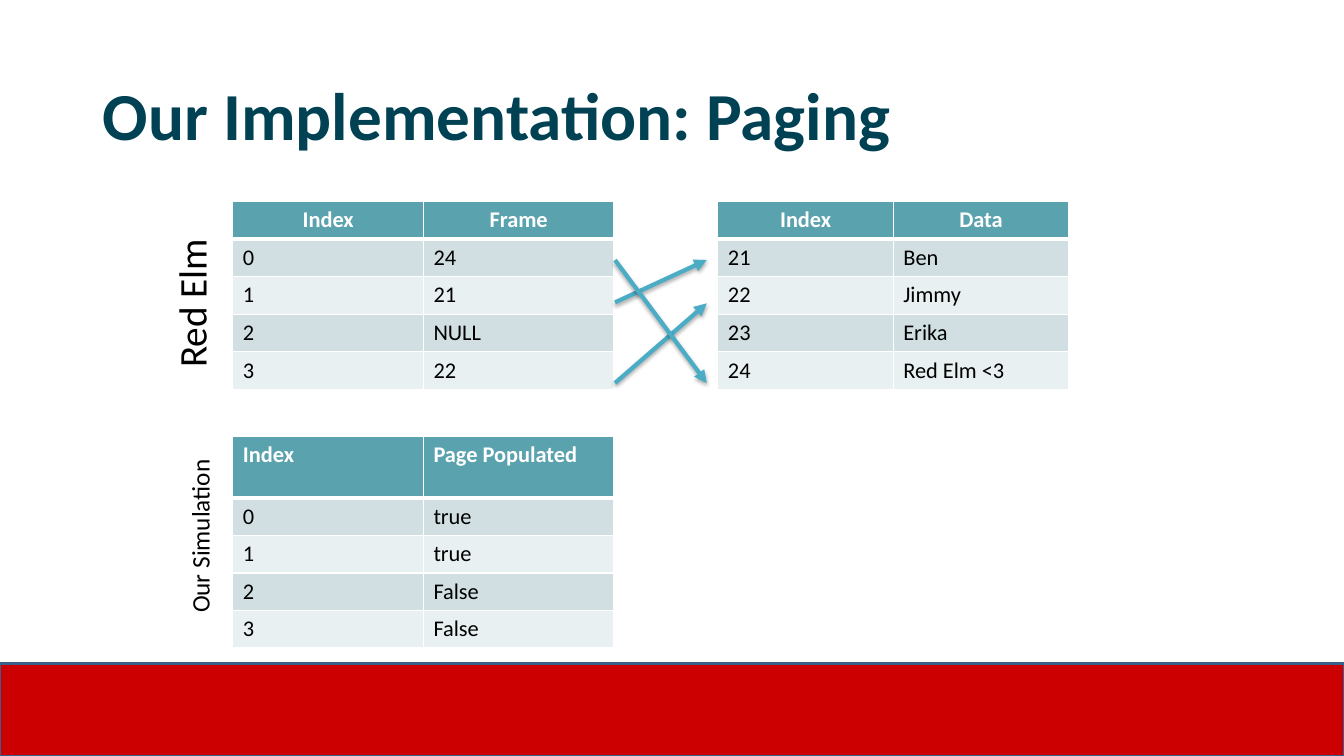
from dataclasses import dataclass

from lxml.etree import SubElement
from pptx import Presentation
from pptx.dml.color import RGBColor
from pptx.enum.shapes import MSO_CONNECTOR, MSO_SHAPE
from pptx.enum.text import MSO_ANCHOR, MSO_AUTO_SIZE, PP_ALIGN
from pptx.oxml import parse_xml
from pptx.oxml.ns import nsdecls, qn
from pptx.util import Inches, Pt

FONT = "Calibri"
WHITE = "FFFFFF"
BLACK = "000000"
HEADER_FILL = "5AA2AE"
BAND_FILLS = ["D1DFE3", "E9F0F1"]
ARROW_COLOUR = "4BACC6"
ROW_HEIGHT = 0.37


@dataclass
class PageTable:
    left: float
    top: float
    column_width: float
    header_height: float
    header_align: PP_ALIGN
    rows: list[tuple[str, str]]


@dataclass
class SideLabel:
    left: float
    top: float
    width: float
    text: str
    size: int


@dataclass
class FrameArrow:
    start_y: float
    end_y: float


TABLES = [
    PageTable(2.31, 2, 1.89, ROW_HEIGHT, PP_ALIGN.CENTER,
              [("Index", "Frame"), ("0", "24"), ("1", "21"), ("2", "NULL"), ("3", "22")]),
    PageTable(2.31, 4.33, 1.89, 0.61, PP_ALIGN.LEFT,
              [("Index", "Page Populated"), ("0", "true"), ("1", "true"),
               ("2", "False"), ("3", "False")]),
    PageTable(7.12, 2, 1.74, ROW_HEIGHT, PP_ALIGN.CENTER,
              [("Index", "Data"), ("21", "Ben"), ("22", "Jimmy"), ("23", "Erika"),
               ("24", "Red Elm <3")]),
]
LABELS = [
    SideLabel(1.56, 2, 0.67, "Red Elm", 28),
    SideLabel(1.73, 4.31, 0.5, "Our Simulation", 18),
]
ARROWS = [FrameArrow(3, 2.58), FrameArrow(3.8, 3.01), FrameArrow(2.58, 3.8)]


def colour(value: str) -> RGBColor:
    return RGBColor.from_string(value)


def add_text(para, text: str, size: int, hex_colour: str, bold: bool = False) -> None:
    span = para.add_run()
    span.text = text
    span.font.name = FONT
    span.font.size = Pt(size)
    span.font.bold = bold
    span.font.color.rgb = colour(hex_colour)


def set_borders(cell, is_header: bool) -> None:
    properties = cell._tc.get_or_add_tcPr()
    for side in ("L", "R", "T", "B"):
        width = 3 if is_header and side == "B" else 0.96
        line = SubElement(properties, qn(f"a:ln{side}"), w=str(Pt(width)))
        fill = SubElement(line, qn("a:solidFill"))
        SubElement(fill, qn("a:srgbClr"), val=WHITE)


def add_page_table(page, item: PageTable) -> None:
    height = item.header_height + ROW_HEIGHT * (len(item.rows) - 1)
    table = page.shapes.add_table(
        len(item.rows), 2, Inches(item.left), Inches(item.top),
        Inches(2 * item.column_width), Inches(height)).table
    for column in table.columns:
        column.width = Inches(item.column_width)
    for row_index, texts in enumerate(item.rows):
        is_header = row_index == 0
        row = table.rows[row_index]
        row.height = Inches(item.header_height if is_header else ROW_HEIGHT)
        for cell, text in zip(row.cells, texts):
            set_borders(cell, is_header)
            cell.fill.solid()
            cell.fill.fore_color.rgb = colour(
                HEADER_FILL if is_header else BAND_FILLS[(row_index - 1) % 2])
            para = cell.text_frame.paragraphs[0]
            para.alignment = item.header_align if is_header else PP_ALIGN.LEFT
            add_text(para, text, 16, WHITE if is_header else BLACK, is_header)


def add_rectangle(page, left: float, top: float, width: float, height: float,
                  fill: str, line: str, line_width: float):
    box = page.shapes.add_shape(MSO_SHAPE.RECTANGLE, Inches(left), Inches(top),
                                Inches(width), Inches(height))
    box.shadow.inherit = False
    box.fill.solid()
    box.fill.fore_color.rgb = colour(fill)
    box.line.color.rgb = colour(line)
    box.line.width = Pt(line_width)
    return box


def add_side_label(page, item: SideLabel) -> None:
    box = add_rectangle(page, item.left, item.top, item.width, 2.02, WHITE, WHITE, 0.75)
    box.element.txBody.bodyPr.set("vert", "vert270")
    frame = box.text_frame
    frame.word_wrap = True
    frame.vertical_anchor = MSO_ANCHOR.MIDDLE
    para = frame.paragraphs[0]
    para.alignment = PP_ALIGN.CENTER
    add_text(para, item.text, item.size, BLACK)


def add_frame_arrow(page, item: FrameArrow) -> None:
    arrow = page.shapes.add_connector(
        MSO_CONNECTOR.STRAIGHT, Inches(6.1), Inches(item.start_y),
        Inches(7.01), Inches(item.end_y))
    arrow.line.color.rgb = colour(ARROW_COLOUR)
    arrow.line.width = Pt(3)
    SubElement(arrow.line._get_or_add_ln(), qn("a:tailEnd"), type="triangle")
    arrow.element.spPr.append(parse_xml(
        f'<a:effectLst {nsdecls("a")}>'
        f'<a:outerShdw blurRad="{Pt(3.1)}" dist="{Pt(1.8)}" dir="5400000" rotWithShape="0">'
        f'<a:srgbClr val="{BLACK}"><a:alpha val="35000"/></a:srgbClr>'
        '</a:outerShdw></a:effectLst>'))


def format_title(title) -> None:
    title.left, title.top = Inches(0.92), Inches(0.4)
    title.width, title.height = Inches(11.5), Inches(1.45)
    frame = title.text_frame
    frame.word_wrap = True
    frame.auto_size = MSO_AUTO_SIZE.NONE
    frame.vertical_anchor = MSO_ANCHOR.MIDDLE
    para = frame.paragraphs[0]
    para.alignment = PP_ALIGN.LEFT
    add_text(para, "Our Implementation: Paging", 48, "004153", True)


deck = Presentation()
deck.slide_width, deck.slide_height = Inches(13.33), Inches(7.5)
page = deck.slides.add_slide(deck.slide_layouts[5])
format_title(page.shapes.title)
add_rectangle(page, 0, 6.58, 13.33, 0.92, "CC0000", "3A5F8C", 2)
for page_table in TABLES:
    add_page_table(page, page_table)
for side_label in LABELS:
    add_side_label(page, side_label)
for frame_arrow in ARROWS:
    add_frame_arrow(page, frame_arrow)
deck.save("out.pptx")
